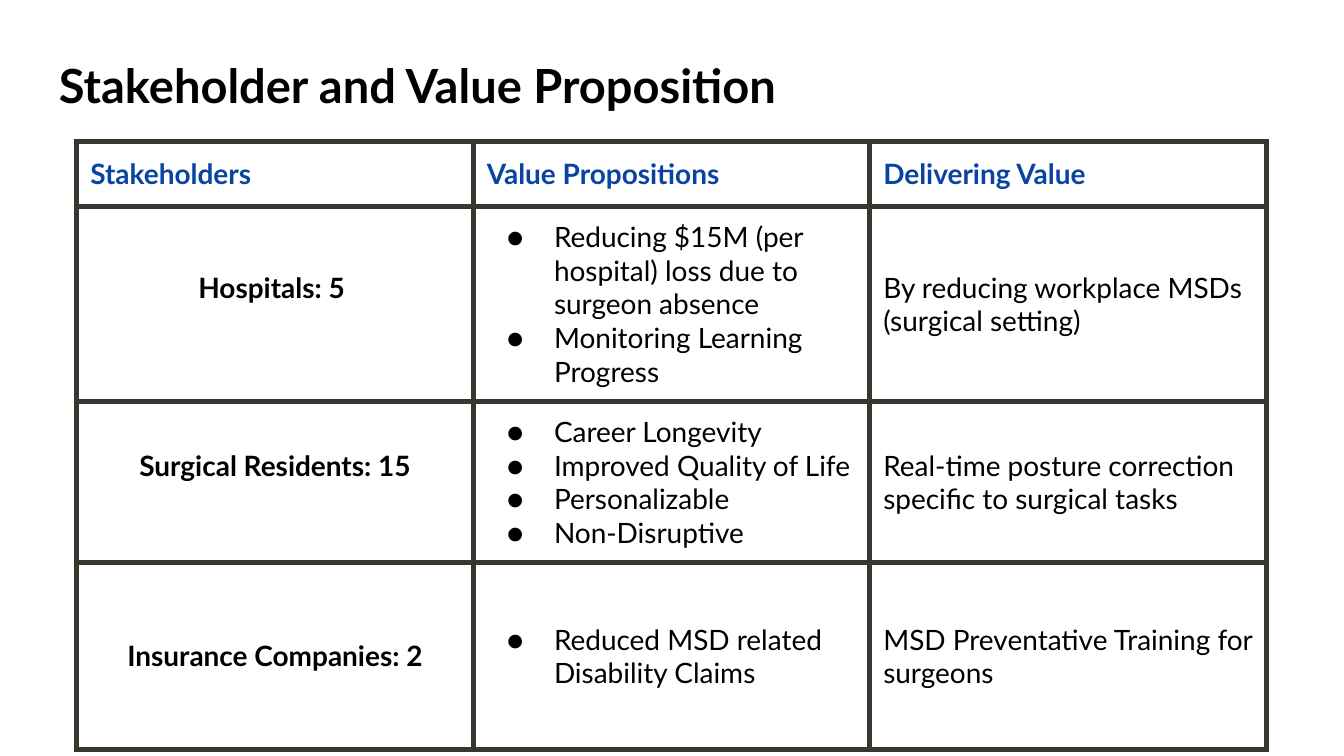
from pptx import Presentation
from pptx.dml.color import RGBColor
from pptx.enum.text import MSO_ANCHOR, PP_ALIGN
from pptx.util import Pt
from lxml.etree import SubElement
from pptx.oxml.ns import qn

BLACK, BLUE, WHITE, EDGE = "000000", "0944A1", "FFFFFF", "35382F"
INSET = Pt(7.2)
LINE = Pt(18)


def write(para, text, size, color, bold):
    run = para.add_run()
    run.text = text
    run.font.name = "Lato"
    run.font.size = Pt(size)
    run.font.bold = bold
    run.font.color.rgb = RGBColor.from_string(color)


def add_edges(cell):
    """Draw all four borders; they must come before the fill in tcPr."""
    props = cell._tc.get_or_add_tcPr()
    for side in ("a:lnL", "a:lnR", "a:lnT", "a:lnB"):
        edge = SubElement(props, qn(side), w=str(Pt(3)))
        fill = SubElement(edge, qn("a:solidFill"))
        SubElement(fill, qn("a:srgbClr"), val=EDGE)


deck = Presentation()
deck.slide_width, deck.slide_height = Pt(720), Pt(405)
slide = deck.slides.add_slide(deck.slide_layouts[6])

title = slide.shapes.add_textbox(Pt(24.5), Pt(23), Pt(671), Pt(45.4))
frame = title.text_frame
frame.word_wrap = True
frame.margin_left = frame.margin_right = INSET
frame.margin_top = frame.margin_bottom = INSET
write(frame.paragraphs[0], "Stakeholder and Value Proposition", 25.2, BLACK, True)

rows = [
    ("Stakeholders", ["Value Propositions"], "Delivering Value"),
    ("Hospitals: 5 ",
     ["Reducing $15M (per hospital) loss due to surgeon absence",
      "Monitoring Learning Progress"],
     "By reducing workplace MSDs (surgical setting)"),
    ("Surgical Residents: 15",
     ["Career Longevity", "Improved Quality of Life", "Personalizable",
      "Non-Disruptive"],
     "Real-time posture correction specific to surgical tasks"),
    ("Insurance Companies: 2",
     ["Reduced MSD related Disability Claims"],
     "MSD Preventative Training for surgeons"),
]
heights = [34.8, 82.8, 82.8, 100]

frame = slide.shapes.add_table(4, 3, Pt(41.2), Pt(75.9), Pt(637.2), Pt(sum(heights)))
table = frame.table
for col in table.columns:
    col.width = Pt(212.4)

for r, (who, values, how) in enumerate(rows):
    table.rows[r].height = Pt(heights[r])
    head = r == 0
    for c, lines in enumerate(([who], values, [how])):
        cell = table.cell(r, c)
        add_edges(cell)
        cell.fill.solid()
        cell.fill.fore_color.rgb = RGBColor.from_string(WHITE)
        cell.vertical_anchor = MSO_ANCHOR.MIDDLE
        cell.margin_left = cell.margin_right = INSET
        cell.margin_top = cell.margin_bottom = INSET
        if c == 0 and r in (1, 2):
            cell.margin_bottom = INSET + LINE  # name sits half a line high
        for i, text in enumerate(lines):
            body = cell.text_frame
            para = body.add_paragraph() if i else body.paragraphs[0]
            if c == 0 and not head:
                para.alignment = PP_ALIGN.CENTER
            if c == 1 and not head:
                props = para._p.get_or_add_pPr()
                props.set("marL", str(Pt(36)))
                props.set("indent", str(Pt(-25.2)))
                tint = SubElement(props, qn("a:buClr"))
                SubElement(tint, qn("a:srgbClr"), val=BLACK)
                SubElement(props, qn("a:buFont"), typeface="Lato")
                SubElement(props, qn("a:buChar"), char="●")
            write(para, text, 15, BLUE if head else BLACK, head or c == 0)

deck.save("out.pptx")
